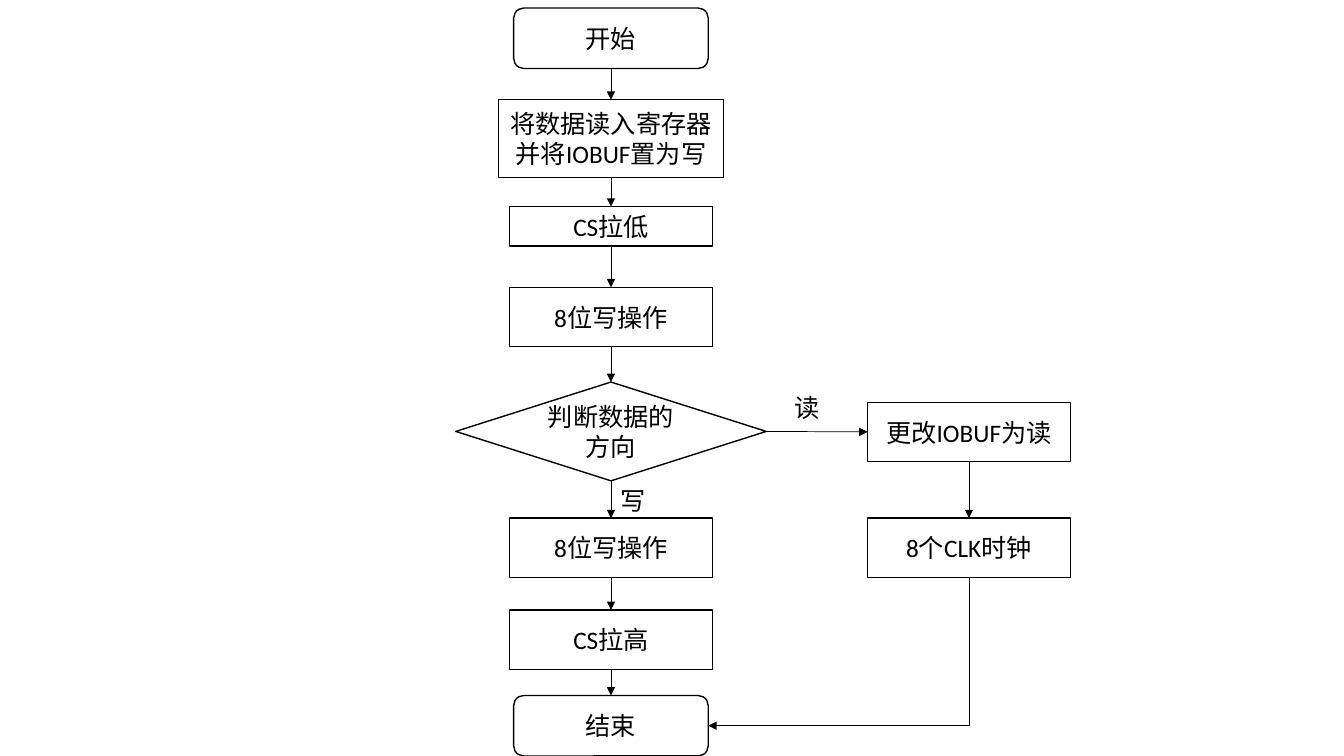
"""Build a flowchart slide of a serial read and write sequence."""
from dataclasses import dataclass

from lxml.etree import SubElement
from pptx import Presentation
from pptx.dml.color import RGBColor
from pptx.enum.shapes import MSO_CONNECTOR as Link, MSO_SHAPE as Preset
from pptx.enum.text import MSO_ANCHOR as Anchor, PP_ALIGN as Align
from pptx.oxml.ns import qn
from pptx.shapes.autoshape import Shape
from pptx.shapes.connector import Connector
from pptx.slide import Slide
from pptx.util import Inches, Pt

COLORS = {"ink": "000000", "paper": "FFFFFF"}
FONT = "Calibri"
MAIN_X, SIDE_X = 6.06, 9.61
TOP, LEFT, BOTTOM, RIGHT = range(4)


@dataclass(frozen=True)
class Step:
    key: str
    text: str
    top: float
    center: float = MAIN_X
    width: float = 2.01
    height: float = 0.59
    preset: Preset = Preset.RECTANGLE


@dataclass(frozen=True)
class Arrow:
    source: str
    target: str
    source_site: int = BOTTOM
    target_site: int = TOP


@dataclass(frozen=True)
class Label:
    text: str
    left: float
    top: float


MAIN_STEPS = [
    Step("start", "开始", 0.08, width=1.93, height=0.6, preset=Preset.ROUNDED_RECTANGLE),
    Step("load", "将数据读入寄存器并将IOBUF置为写", 0.99, width=2.23, height=0.77),
    Step("cs_low", "CS拉低", 2.05, height=0.39),
    Step("write_command", "8位写操作", 2.85),
    Step("direction", "判断数据的方向", 3.79, width=3.08, height=0.98, preset=Preset.DIAMOND),
    Step("write_data", "8位写操作", 5.14),
    Step("cs_high", "CS拉高", 6.05),
    Step("end", "结束", 6.9, width=1.93, height=0.6, preset=Preset.ROUNDED_RECTANGLE),
]
SIDE_STEPS = [
    Step("set_read", "更改IOBUF为读", 3.99, SIDE_X),
    Step("clock", "8个CLK时钟", 5.14, SIDE_X),
]
ARROWS = [
    *(Arrow(a.key, b.key) for a, b in zip(MAIN_STEPS, MAIN_STEPS[1:])),
    Arrow("direction", "set_read", RIGHT, LEFT),
    Arrow("set_read", "clock"),
]
RETURN_ARROW = Arrow("clock", "end", BOTTOM, RIGHT)
LABELS = [Label("写", MAIN_X, 4.77), Label("读", 7.78, 3.84)]


def color(name: str) -> RGBColor:
    return RGBColor.from_string(COLORS[name])


def write_text(shape: Shape, text: str, align: Align, anchor: Anchor) -> None:
    frame = shape.text_frame
    frame.text = text
    frame.word_wrap = True
    frame.vertical_anchor = anchor
    paragraph = frame.paragraphs[0]
    paragraph.alignment = align
    for run in paragraph.runs:
        run.font.name = FONT
        run.font.size = Pt(18)
        run.font.color.rgb = color("ink")


def draw_step(slide: Slide, step: Step) -> Shape:
    shape = slide.shapes.add_shape(
        step.preset, Inches(step.center - step.width / 2), Inches(step.top),
        Inches(step.width), Inches(step.height))
    shape.shadow.inherit = False
    shape.fill.solid()
    shape.fill.fore_color.rgb = color("paper")
    shape.line.color.rgb = color("ink")
    shape.line.width = Pt(1)
    write_text(shape, step.text, Align.CENTER, Anchor.MIDDLE)
    return shape


def draw_arrow(slide: Slide, arrow: Arrow, shapes: dict[str, Shape],
               kind: Link = Link.STRAIGHT) -> Connector:
    connector = slide.shapes.add_connector(kind, 0, 0, 0, 0)
    connector.begin_connect(shapes[arrow.source], arrow.source_site)
    connector.end_connect(shapes[arrow.target], arrow.target_site)
    connector.line.color.rgb = color("ink")
    connector.line.width = Pt(0.5)
    SubElement(connector.line._get_or_add_ln(), qn("a:tailEnd"), type="triangle")
    SubElement(connector._element.spPr, qn("a:effectLst"))
    return connector


def bend_down_then_left(connector: Connector) -> None:
    drop = connector.end_y - connector.begin_y
    run = connector.begin_x - connector.end_x
    middle_x = (connector.begin_x + connector.end_x) // 2
    middle_y = (connector.begin_y + connector.end_y) // 2
    connector.left, connector.top = middle_x - drop // 2, middle_y - run // 2
    connector.width, connector.height = drop, run
    properties = connector._element.spPr
    transform = properties.find(qn("a:xfrm"))
    transform.attrib.pop("flipH", None)
    transform.set("rot", str(90 * 60000))
    properties.find(qn("a:prstGeom")).set("prst", "bentConnector2")


def draw_label(slide: Slide, label: Label) -> None:
    box = slide.shapes.add_textbox(
        Inches(label.left), Inches(label.top), Inches(0.83), Inches(0.4))
    write_text(box, label.text, Align.LEFT, Anchor.TOP)


def main() -> None:
    presentation = Presentation()
    presentation.slide_width = Inches(13.33)
    presentation.slide_height = Inches(7.5)
    slide = presentation.slides.add_slide(presentation.slide_layouts[6])
    shapes = {step.key: draw_step(slide, step) for step in MAIN_STEPS + SIDE_STEPS}
    for arrow in ARROWS:
        draw_arrow(slide, arrow, shapes)
    bend_down_then_left(draw_arrow(slide, RETURN_ARROW, shapes, Link.ELBOW))
    for label in LABELS:
        draw_label(slide, label)
    presentation.save("out.pptx")


main()
